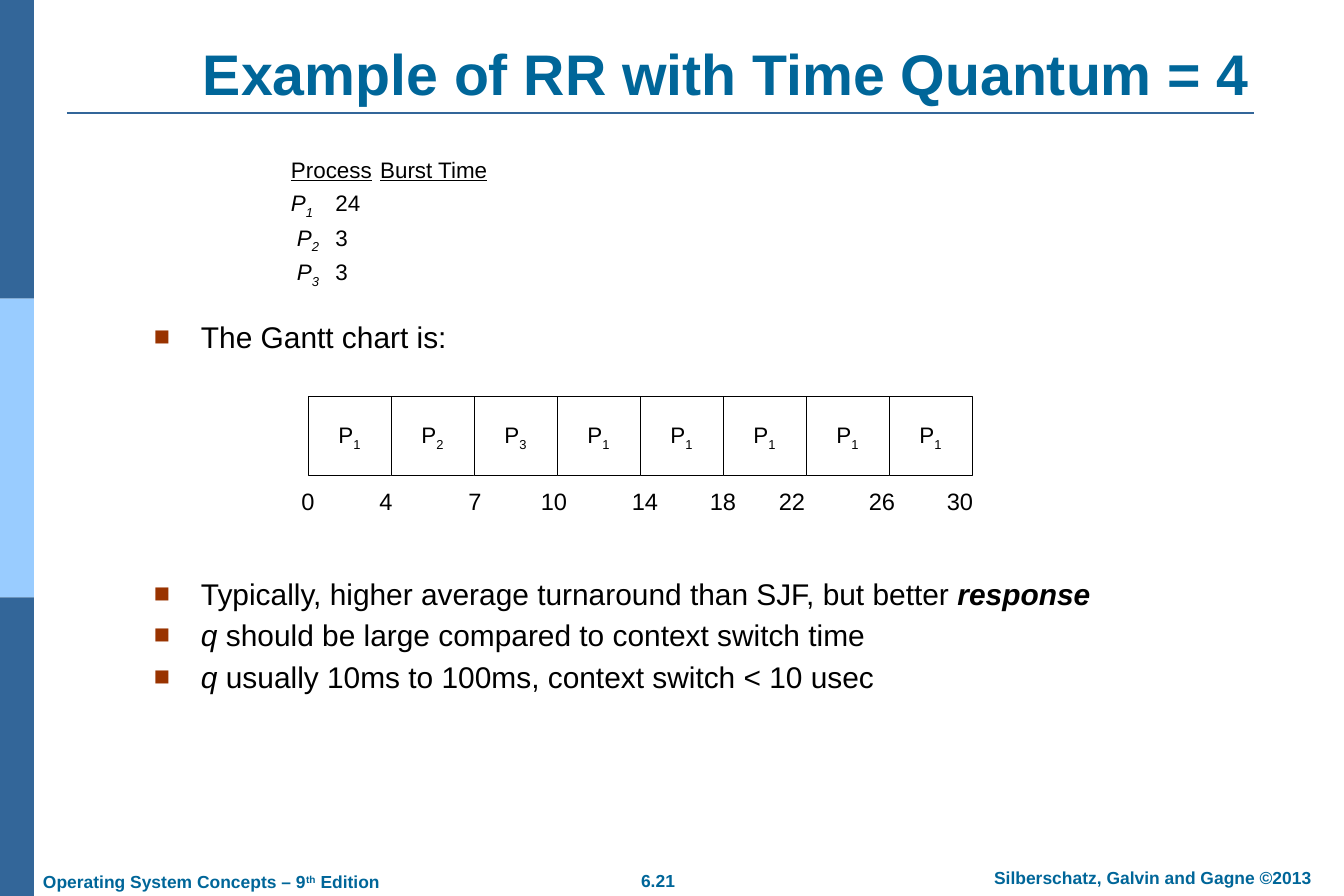
import pptx
import pptx.util
import pptx.dml.color
import pptx.enum.shapes
import pptx.enum.text
import pptx.oxml
import lxml.etree

RGB = pptx.dml.color.RGBColor
ALIGN = pptx.enum.text.PP_ALIGN
ANCHOR = pptx.enum.text.MSO_ANCHOR

# Colours
DARK_BLUE = RGB(0x33, 0x66, 0x99)
LIGHT_BLUE = RGB(0x99, 0xCC, 0xFF)
HEADING_BLUE = RGB(0x00, 0x66, 0x99)
BULLET_RED = RGB(0x99, 0x33, 0x00)
BLACK = RGB(0, 0, 0)
WHITE = RGB(0xFF, 0xFF, 0xFF)

# Run formats
PLAIN, UNDERLINED, ITALIC = {}, {"underline": True}, {"italic": True}
STRONG = {"bold": True, "italic": True}
SUB, SUPER = -25000, 30000

# Content: a run is (text, format) or (text, format, baseline)
TITLE = "Example of RR with Time Quantum = 4"
BURST_HEADS = ("Process", "Burst Time")
BURSTS = [("1", "24", 0), ("2", "3", 6), ("3", "3", 6)]  # process, time, shift px
BULLETS = [  # space before in points, runs
    (32.4, [("The Gantt chart is:", PLAIN)]),
    (183, [("Typically, higher average turnaround than SJF, but better ", PLAIN),
           ("response", STRONG)]),
    (10.5, [("q", ITALIC), (" should be large compared to context switch time", PLAIN)]),
    (10.5, [("q", ITALIC), (" usually 10ms to 100ms, context switch < 10 usec", PLAIN)]),
]
GANTT = "12311111"
TIMES = [("0", 308), ("4", 386), ("7", 475), ("10", 554), ("14", 645),
         ("18", 723), ("22", 792), ("26", 882), ("30", 960)]  # label, centre px
FOOTERS = [  # box px, alignment, runs
    ((596, 864, 124, 34), ALIGN.CENTER, [("6.21", PLAIN)]),
    ((964, 861, 378, 34), ALIGN.CENTER, [("Silberschatz, Galvin and Gagne ©2013", PLAIN)]),
    ((30, 865, 363, 34), ALIGN.LEFT, [("Operating System Concepts – 9", PLAIN),
                                      ("th", PLAIN, SUPER), (" Edition", PLAIN)]),
]

# Measures in px
WIDTH, HEIGHT = 1344, 896
SIDEBAR_WIDTH = 34
HANG, BURST_INDENT = 47, 90
CELL_LEFT, CELL_TOP, CELL_WIDTH, CELL_HEIGHT = 308, 397, 83, 79
TIME_TOP, TIME_WIDTH, TIME_HEIGHT = 482, 46, 38


def px(length):
    return round(length * 914400 / 89.6)


def set_all(target, values):
    for name, value in values.items():
        setattr(target, name, value)


def write(paragraph, runs, size, color, **base):
    for text, look, *baseline in runs:
        run = paragraph.add_run()
        run.text = text
        set_all(run.font, {"name": "Arial", "size": pptx.util.Pt(size), **base, **look})
        run.font.color.rgb = color
        if baseline:
            run.font._element.set("baseline", str(baseline[0]))


def set_frame(shape, anchor, inset_x, inset_y, wrap):
    set_all(shape.text_frame, {
        "word_wrap": wrap, "vertical_anchor": anchor,
        "margin_left": px(inset_x), "margin_right": px(inset_x),
        "margin_top": px(inset_y), "margin_bottom": px(inset_y)})
    return shape.text_frame


def add_text(box, anchor=ANCHOR.TOP, inset=(13, 6), wrap=True):
    return set_frame(slide.shapes.add_textbox(*map(px, box)), anchor, *inset, wrap)


def add_rect(box, color):
    rect = slide.shapes.add_shape(pptx.enum.shapes.MSO_SHAPE.RECTANGLE, *map(px, box))
    rect.shadow.inherit = False
    rect.fill.solid()
    rect.fill.fore_color.rgb = color
    rect.line.fill.background()
    return rect


def indent(paragraph, left, first):
    properties = paragraph._p.get_or_add_pPr()
    properties.set("marL", str(px(left)))
    properties.set("indent", str(px(first)))
    return properties


def add_bullet(paragraph):
    properties = indent(paragraph, HANG, -HANG)
    color = lxml.etree.SubElement(properties, pptx.oxml.ns.qn("a:buClr"))
    lxml.etree.SubElement(color, pptx.oxml.ns.qn("a:srgbClr"), val=str(BULLET_RED))
    for tag, values in (("a:buSzPct", {"val": "90000"}),
                        ("a:buFont", {"typeface": "Arial"}),
                        ("a:buChar", {"char": "■"})):
        lxml.etree.SubElement(properties, pptx.oxml.ns.qn(tag), values)


deck = pptx.Presentation()
set_all(deck, {"slide_width": px(WIDTH), "slide_height": px(HEIGHT)})
slide = deck.slides.add_slide(deck.slide_layouts[6])

# Sidebar
band = HEIGHT / 3
for row, color in enumerate((DARK_BLUE, LIGHT_BLUE, DARK_BLUE)):
    add_rect((0, row * band, SIDEBAR_WIDTH, band), color)

# Title and the rule under it
rule = slide.shapes.add_connector(pptx.enum.shapes.MSO_CONNECTOR.STRAIGHT,
                                  px(67), px(113), px(1254), px(113))
rule.line.color.rgb = DARK_BLUE
rule.line.width = pptx.util.Pt(1.5)
lxml.etree.SubElement(rule._element.spPr, pptx.oxml.ns.qn("a:effectLst"))
title = add_text((134, 3, 1184, 110), ANCHOR.BOTTOM).paragraphs[0]
title.alignment = ALIGN.CENTER
write(title, [(TITLE, PLAIN)], 46, HEADING_BLUE, bold=True)

# Footers
for box, alignment, runs in FOOTERS:
    footer = add_text(box, wrap=False).paragraphs[0]
    footer.alignment = alignment
    write(footer, runs, 14, HEADING_BLUE, bold=True)

# Burst times, then bullets
body = add_text((141, 155, 1081, 586))
heads = body.paragraphs[0]
heads.line_spacing = 0.8
indent(heads, HANG, BURST_INDENT)
write(heads, [(BURST_HEADS[0], UNDERLINED), ("\t", PLAIN), (BURST_HEADS[1], UNDERLINED)],
      18, BLACK)
for process, time, shift in BURSTS:
    burst = body.add_paragraph()
    indent(burst, HANG, BURST_INDENT + shift)
    set_all(burst, {"line_spacing": 0.8, "space_before": pptx.util.Pt(7.9)})
    write(burst, [("P", ITALIC), (process + "\t", ITALIC, SUB), (time, PLAIN)], 18, BLACK)
for space, runs in BULLETS:
    bullet = body.add_paragraph()
    add_bullet(bullet)
    set_all(bullet, {"line_spacing": 0.8, "space_before": pptx.util.Pt(space)})
    write(bullet, runs, 24, BLACK)

# Gantt chart
for column, process in enumerate(GANTT):
    cell = add_rect((CELL_LEFT + column * CELL_WIDTH, CELL_TOP, CELL_WIDTH, CELL_HEIGHT), WHITE)
    cell.line.color.rgb = BLACK
    cell.line.width = pptx.util.Pt(0.75)
    label = set_frame(cell, ANCHOR.MIDDLE, 9, 4, False).paragraphs[0]
    label.alignment = ALIGN.CENTER
    write(label, [("P", PLAIN), (process, PLAIN, SUB)], 18, BLACK)
for time, centre in TIMES:
    box = (centre - TIME_WIDTH / 2, TIME_TOP, TIME_WIDTH, TIME_HEIGHT)
    mark = add_text(box, ANCHOR.MIDDLE, (9, 4), False).paragraphs[0]
    mark.alignment = ALIGN.CENTER
    write(mark, [(time, PLAIN)], 19, BLACK)

deck.save("out.pptx")
